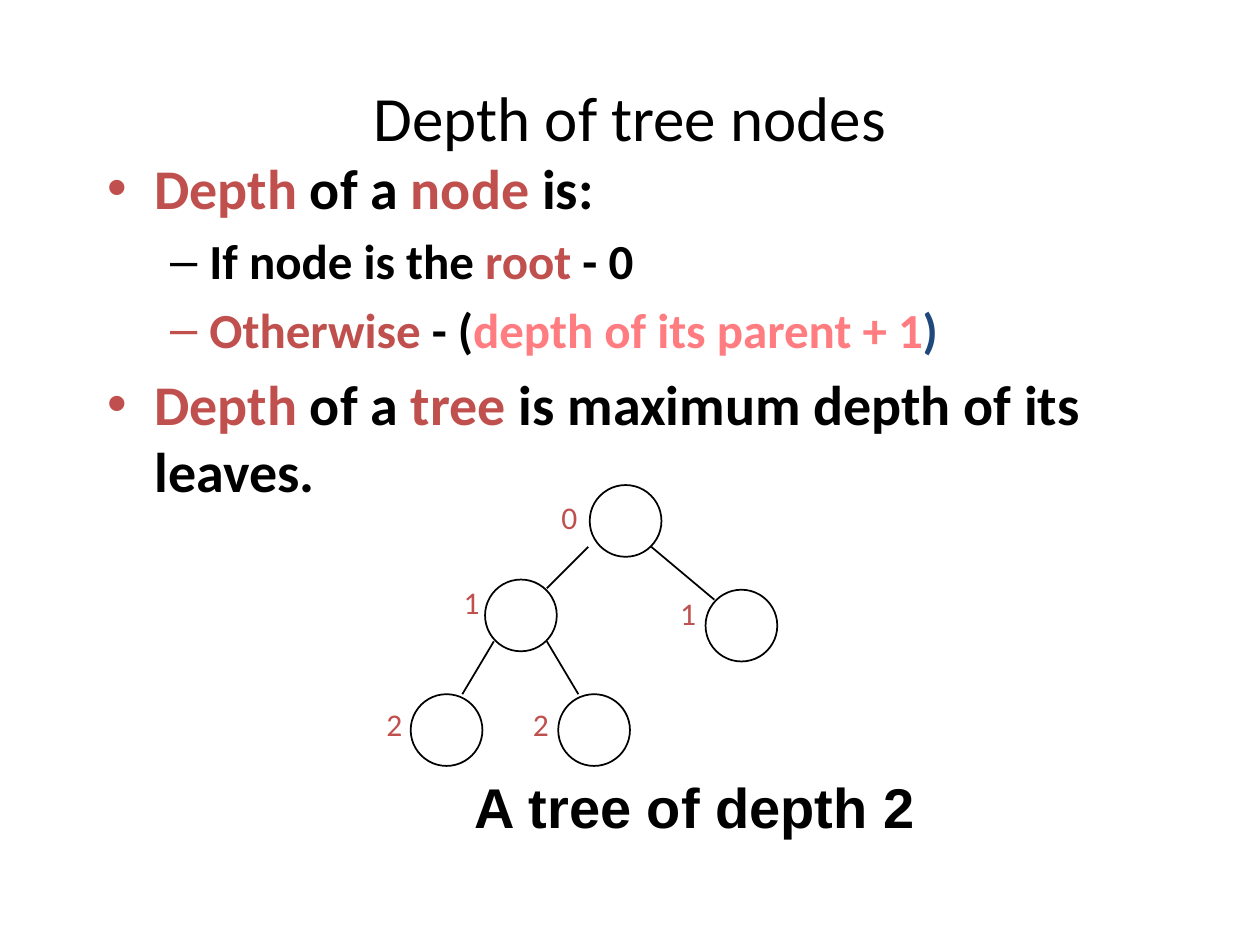
"""Build a slide that explains the depth of tree nodes."""
from dataclasses import dataclass

from pptx import Presentation
from pptx.dml.color import RGBColor
from pptx.enum.shapes import MSO_CONNECTOR, MSO_SHAPE
from pptx.enum.text import MSO_ANCHOR, MSO_AUTO_SIZE, PP_ALIGN
from pptx.oxml.ns import qn
from pptx.util import Pt
from lxml.etree import SubElement


@dataclass(frozen=True)
class Theme:
    """Colours, fonts and type sizes."""
    ink: str = "000000"
    red: str = "C0504D"
    pink: str = "FF7C80"
    navy: str = "1F497D"
    sans: str = "Calibri"
    plain: str = "Arial"
    title: int = 36
    main: int = 32
    sub: int = 28
    label: int = 18


@dataclass(frozen=True)
class Box:
    """A frame in points."""
    left: float
    top: float
    width: float
    height: float


@dataclass(frozen=True)
class Node:
    """A tree node with its depth label."""
    left: float
    top: float
    depth: str
    tag: Box
    mid: bool = False


@dataclass(frozen=True)
class Edge:
    """A line between two nodes."""
    x: float
    y: float
    to_x: float
    to_y: float


@dataclass(frozen=True)
class Item:
    """A list item made of coloured runs."""
    level: int
    size: int
    runs: tuple


LOOK = Theme()
SIDE = 41
TAG = (26.6, 36)
NODES = (
    Node(337, 277.2, "0", Box(318.2, 280.8, 14.4, 28.8), mid=True),
    Node(277.2, 331.2, "1", Box(257.8, 329.8, *TAG)),
    Node(403.2, 337, "1", Box(381.6, 336.2, *TAG)),
    Node(234.7, 396.7, "2", Box(213.8, 399.6, *TAG)),
    Node(319, 396.7, "2", Box(297.4, 399.6, *TAG)),
)
EDGES = (
    Edge(336.2, 312.5, 312.5, 336.2),
    Edge(372.2, 312.5, 408.2, 342.7),
    Edge(282.2, 366.5, 264.2, 396.7),
    Edge(312.5, 366.5, 330.5, 396.7),
)
ITEMS = (
    Item(0, LOOK.main, (("Depth", LOOK.red), (" of a ", LOOK.ink),
                        ("node", LOOK.red), (" is:", LOOK.ink))),
    Item(1, LOOK.sub, (("If node is the ", LOOK.ink), ("root", LOOK.red),
                       (" - 0", LOOK.ink))),
    Item(1, LOOK.sub, (("Otherwise", LOOK.red), (" - (", LOOK.ink),
                       ("depth of its parent + 1", LOOK.pink),
                       (")", LOOK.navy))),
    Item(0, LOOK.main, (("Depth", LOOK.red), (" of a ", LOOK.ink),
                        ("tree", LOOK.red),
                        (" is maximum depth of its leaves.", LOOK.ink))),
)


def write(para, text: str, *, size: int, color: str = LOOK.ink,
          bold: bool = False, font: str = LOOK.sans) -> None:
    """Add a formatted run to a paragraph."""
    run = para.add_run()
    run.text = text
    run.font.name = font
    run.font.size = Pt(size)
    run.font.bold = bold
    run.font.color.rgb = RGBColor.from_string(color)


def place(shape, box: Box) -> None:
    """Move and size a shape."""
    shape.left, shape.top = Pt(box.left), Pt(box.top)
    shape.width, shape.height = Pt(box.width), Pt(box.height)


def add_box(slide, box: Box, wrap: bool):
    """Add a text box and return its frame."""
    shape = slide.shapes.add_textbox(Pt(0), Pt(0), Pt(1), Pt(1))
    place(shape, box)
    frame = shape.text_frame
    frame.word_wrap = wrap
    frame.auto_size = MSO_AUTO_SIZE.SHAPE_TO_FIT_TEXT
    return frame


def stroke(shape) -> None:
    """Give a shape a thin dark line."""
    shape.line.color.rgb = RGBColor.from_string(LOOK.ink)
    shape.line.width = Pt(1)


def add_edge(slide, edge: Edge) -> None:
    """Draw one edge."""
    line = slide.shapes.add_connector(
        MSO_CONNECTOR.STRAIGHT, Pt(edge.x), Pt(edge.y),
        Pt(edge.to_x), Pt(edge.to_y))
    stroke(line)
    SubElement(line._element.spPr, qn("a:effectLst"))


def add_node(slide, node: Node) -> None:
    """Draw one node and its depth."""
    ring = slide.shapes.add_shape(
        MSO_SHAPE.OVAL, Pt(node.left), Pt(node.top), Pt(SIDE), Pt(SIDE))
    ring.shadow.inherit = False
    ring.fill.background()
    stroke(ring)
    frame = add_box(slide, node.tag, wrap=False)
    para = frame.paragraphs[0]
    if node.mid:
        frame.auto_size = MSO_AUTO_SIZE.NONE
        frame.vertical_anchor = MSO_ANCHOR.MIDDLE
        para.alignment = PP_ALIGN.CENTER
    write(para, node.depth, size=LOOK.label, color=LOOK.red)


def add_list(shape, items: tuple) -> None:
    """Fill the body placeholder."""
    frame = shape.text_frame
    frame.auto_size = MSO_AUTO_SIZE.NONE
    for spot, item in enumerate(items):
        para = frame.add_paragraph() if spot else frame.paragraphs[0]
        para.level = item.level
        para.space_before = Pt(item.size * 0.2 if spot else 0)
        for text, color in item.runs:
            write(para, text, size=item.size, color=color, bold=True)


def main() -> None:
    """Build and save the slide."""
    deck = Presentation()
    deck.slide_width, deck.slide_height = Pt(720), Pt(540)
    slide = deck.slides.add_slide(deck.slide_layouts[1])
    title, body = slide.placeholders
    place(title, Box(36, 21.6, 648, 90))
    write(title.text_frame.paragraphs[0], "Depth of tree nodes",
          size=LOOK.title)
    place(body, Box(54, 84.25, 612, 414))
    add_list(body, ITEMS)
    for edge in EDGES:
        add_edge(slide, edge)
    for node in NODES:
        add_node(slide, node)
    note = add_box(slide, Box(264.2, 437.8, 270, 45.4), wrap=True)
    write(note.paragraphs[0], "A tree of depth 2", size=LOOK.main,
          bold=True, font=LOOK.plain)
    deck.save("out.pptx")


if __name__ == "__main__":
    main()
